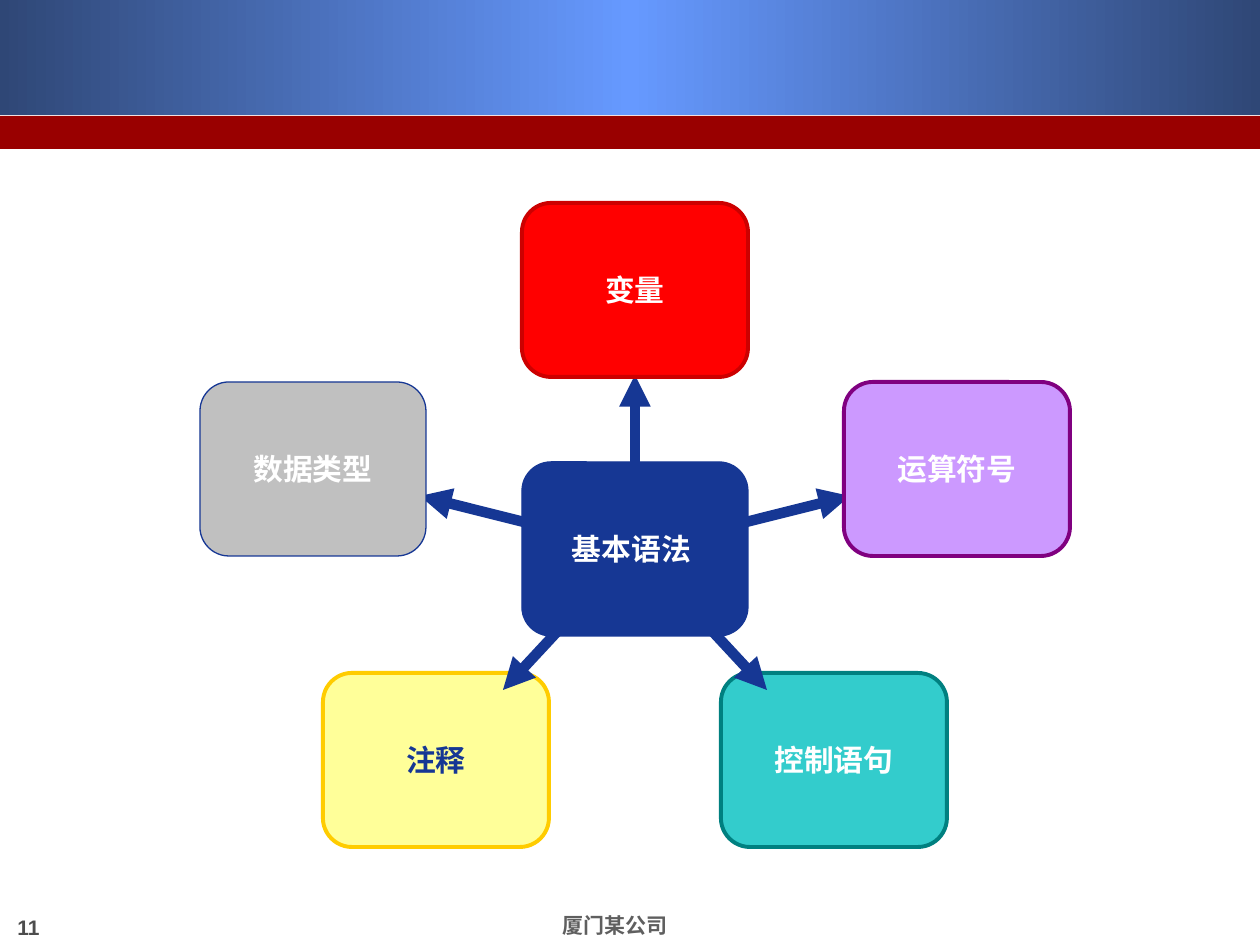
"""Build a slide with a hub and five spokes on basic syntax."""
from copy import deepcopy

from pptx import Presentation
from pptx.dml.color import RGBColor
from pptx.enum.shapes import MSO_CONNECTOR as LINK, MSO_SHAPE as SHAPE
from pptx.enum.text import MSO_ANCHOR as ANCHOR, PP_ALIGN as ALIGN
from pptx.oxml.ns import qn
from pptx.oxml.xmlchemy import OxmlElement
from pptx.util import Pt

NAVY, WHITE = "163794", "FFFFFF"
STEEL, SKY, BRICK = "2F4776", "6699FF", "990000"
BOX_W, BOX_H = 226, 174
HUB_X, HUB_Y = 635, 549
HUB = ("基本语法 ", NAVY, NAVY, 0.75, WHITE)

# label, fill, edge, edge width, ink; centre; arrow start; arrow end; arrow on top
SPOKES = [
    (("数据类型", "C0C0C0", NAVY, 0.75, WHITE), (-322, -80), (-107, -26), (-215, -53), False),
    (("注释", "FFFF99", "FFCC00", 2.25, NAVY), (-199, 211), (-67, 71), (-132, 141), True),
    (("控制语句", "33CCCC", "008080", 2.25, WHITE), (199, 211), (67, 71), (132, 141), True),
    (("运算符号", "CC99FF", "800080", 2.25, WHITE), (322, -80), (107, -26), (215, -53), False),
    (("变量", "FF0000", "CC0000", 2.25, WHITE), (0, -259), (0, -87), (0, -174), False),
]
NOTES = [
    ("11", (5, 908, 258, 37), "4D4D4D", ALIGN.LEFT),
    ("厦门某公司", (382, 906, 466, 38), "5F5F5F", ALIGN.CENTER),
]


def px(*vals):
    return [round(v * 914400 / 126) for v in vals]


def rgb(code):
    return RGBColor.from_string(code)


def write(shape, text, size=12, ink=WHITE, align=ALIGN.CENTER, anchor=ANCHOR.TOP, inset=None):
    frame = shape.text_frame
    frame.word_wrap = True
    frame.vertical_anchor = anchor
    if inset is not None:
        frame.margin_left = frame.margin_right = inset
        frame.margin_top = frame.margin_bottom = inset
    para = frame.paragraphs[0]
    para.alignment = align
    run = para.add_run()
    run.text = text
    font = run.font
    font.name, font.size, font.bold = "Arial", Pt(size), True
    font.color.rgb = rgb(ink)


def block(slide, kind, area, fill):
    shape = slide.shapes.add_shape(kind, *px(*area))
    shape.shadow.inherit = False
    shape.fill.solid()
    shape.fill.fore_color.rgb = rgb(fill)
    shape.line.fill.background()
    return shape


def banner(slide):
    band = block(slide, SHAPE.RECTANGLE, (0, 0, 1260, 115), STEEL)
    band.fill.gradient()
    band.fill.gradient_angle = 0
    stops = band._element.spPr.find(qn("a:gradFill")).find(qn("a:gsLst"))
    stops.append(deepcopy(stops[0]))
    marks = zip(band.fill.gradient_stops, (0, 0.5, 1), (STEEL, SKY, STEEL))
    for stop, place, code in marks:
        stop.position = place
        stop.color.rgb = rgb(code)
    block(slide, SHAPE.RECTANGLE, (0, 116, 1260, 33), BRICK)


def node(slide, style, dx=0, dy=0):
    text, fill, edge, width, ink = style
    area = (HUB_X + dx - BOX_W / 2, HUB_Y + dy - BOX_H / 2, BOX_W, BOX_H)
    shape = block(slide, SHAPE.ROUNDED_RECTANGLE, area, fill)
    shape.line.color.rgb = rgb(edge)
    shape.line.width = Pt(width)
    write(shape, text, size=17, ink=ink, anchor=ANCHOR.MIDDLE, inset=0)


def arrow(slide, start, end):
    ends = [base + off for pair in (start, end) for base, off in zip((HUB_X, HUB_Y), pair)]
    link = slide.shapes.add_connector(LINK.STRAIGHT, *px(*ends))
    link.line.color.rgb = rgb(NAVY)
    link.line.width = Pt(6)
    tip = OxmlElement("a:tailEnd")
    tip.set("type", "triangle")
    link.line._get_or_add_ln().append(tip)
    link._element.spPr.append(OxmlElement("a:effectLst"))


def main():
    deck = Presentation()
    deck.slide_width, deck.slide_height = px(1260, 945)
    slide = deck.slides.add_slide(deck.slide_layouts[6])
    banner(slide)
    for text, area, ink, align in NOTES:
        write(slide.shapes.add_textbox(*px(*area)), text, ink=ink, align=align)
    for style, centre, start, end, above in SPOKES:
        if not above:
            arrow(slide, start, end)
        node(slide, style, *centre)
        if above:
            arrow(slide, start, end)
    node(slide, HUB)
    deck.save("out.pptx")


if __name__ == "__main__":
    main()
